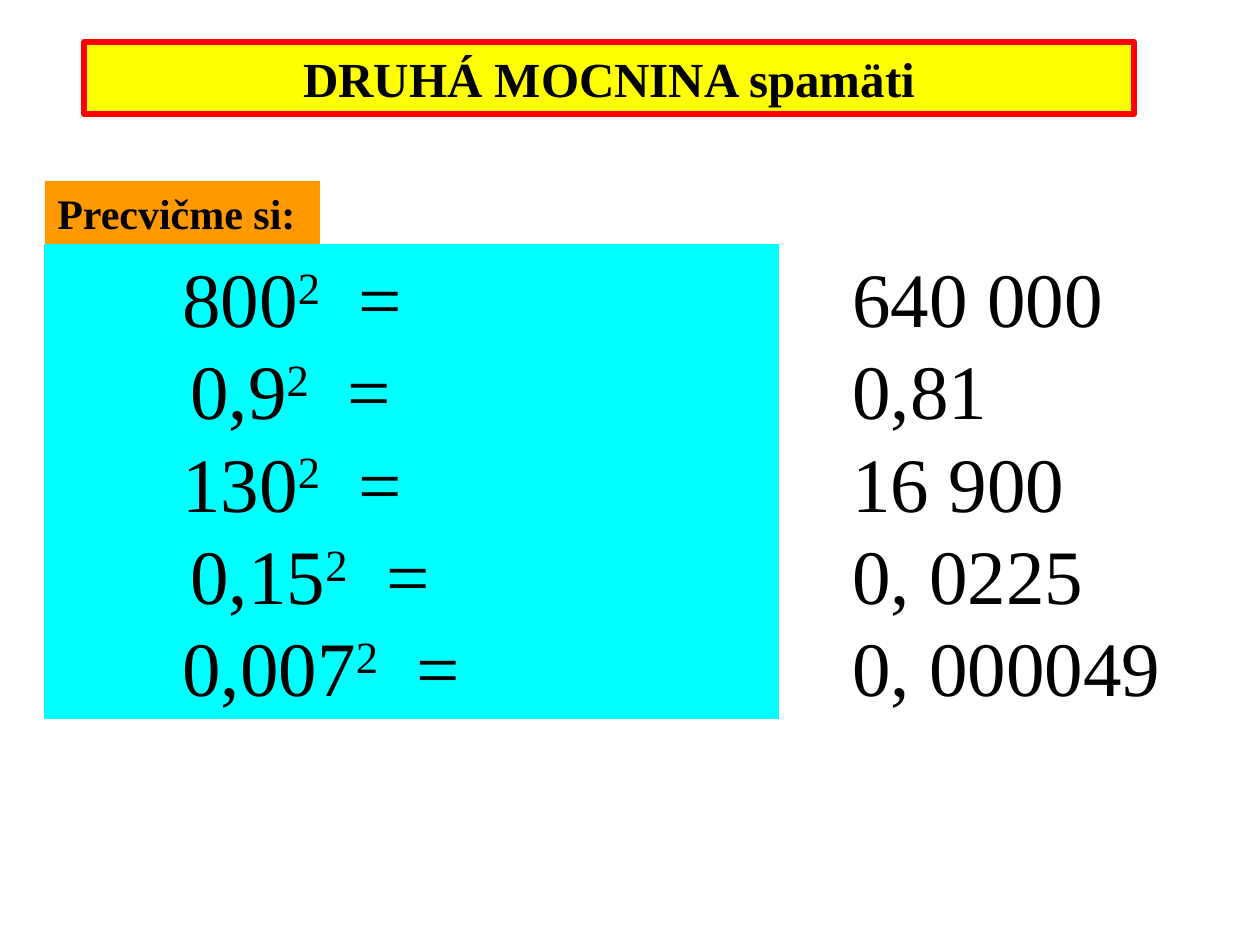
"""Build a slide for practising squares from memory."""
from pptx import Presentation, util as u
from pptx.dml.color import RGBColor
from pptx.enum import shapes, text

PX = 914400 / 126
ROWS = [("800", 126, "640 000"), ("0,9", 134, "0,81"), ("130", 126, "16 900"),
        ("0,15", 134, "0, 0225"), ("0,007", 126, "0, 000049")]


def color(value):
    return RGBColor.from_string(value)


def style(p, size, bold=False, align=text.PP_ALIGN.LEFT):
    p.alignment = align
    p.line_spacing = u.Pt(size * 1.2)
    p.space_before = u.Pt(0)
    for r in p.runs:
        r.font.name = "Times New Roman"
        r.font.size = u.Pt(size)
        r.font.bold = bold
        r.font.color.rgb = color("000000")


prs = Presentation()
prs.slide_width, prs.slide_height = u.Inches(10), u.Inches(7.5)
s = prs.slides.add_slide(prs.slide_layouts[5])

title = s.shapes.title
title.text_frame.text = "DRUHÁ MOCNINA spamäti"
title.line.color.rgb = color("FF0000")
title.line.width = u.Pt(3.25)
style(title.text_frame.paragraphs[0], 28, True, text.PP_ALIGN.CENTER)

panel, label = [s.shapes.add_shape(shapes.MSO_SHAPE.RECTANGLE, 0, 0, 0, 0) for _ in range(2)]
answers = s.shapes.add_textbox(0, 0, 0, 0)
for sp, fill, box in [(title, "FFFF00", (84, 42, 1050, 72)),
                      (panel, "00FFFF", (44, 244, 735, 475)),
                      (label, "FF9900", (45, 181, 275, 63)),
                      (answers, None, (840, 244, 333, 475))]:
    sp.left, sp.top, sp.width, sp.height = [round(v * PX) for v in box]
    if fill:
        sp.fill.solid()
        sp.fill.fore_color.rgb = color(fill)
    tf = sp.text_frame
    tf.word_wrap = sp is not answers
    tf.auto_size = text.MSO_AUTO_SIZE.NONE
    tf.vertical_anchor = text.MSO_ANCHOR.TOP

for sp in (panel, label):
    sp.shadow.inherit = False
    sp.line.fill.background()

label.text_frame.text = "Precvičme si:"
style(label.text_frame.paragraphs[0], 24, True)

answers.text_frame.text = "\n".join(answer for _, _, answer in ROWS)
for p in answers.text_frame.paragraphs:
    style(p, 44)

panel.text_frame.text = "\n".join(base for base, _, _ in ROWS)
for p, (_, indent, _) in zip(panel.text_frame.paragraphs, ROWS):
    power, gap, equals = [p.add_run() for _ in range(3)]
    power.text, gap.text, equals.text = "2", " ", "="
    style(p, 44)
    power.font._element.set("baseline", "30000")
    gap.font._element.set("spc", "1100")
    p._p.get_or_add_pPr().set("marL", str(round(indent * PX)))
    p._p.get_or_add_pPr().set("indent", "0")

prs.save("out.pptx")
